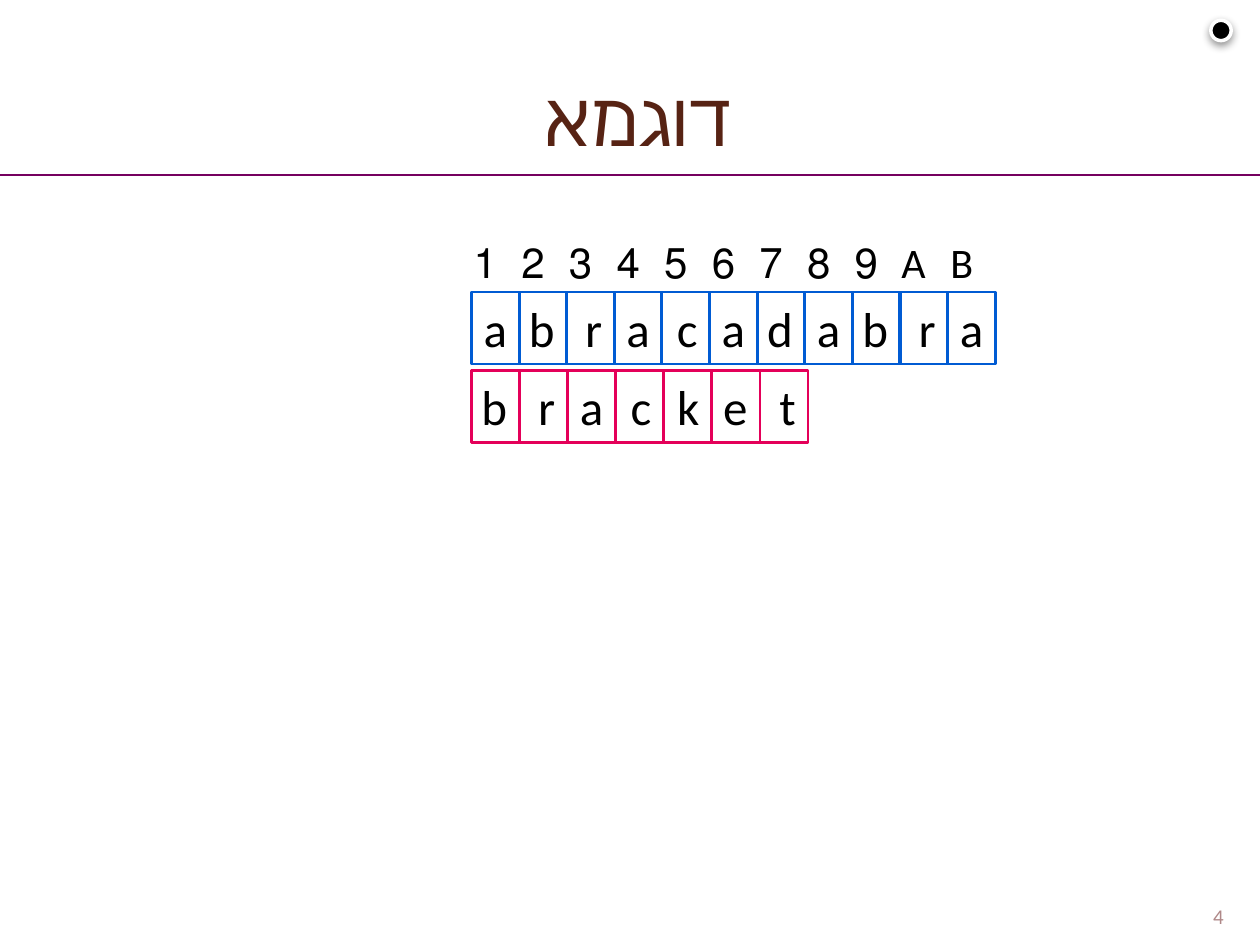
from dataclasses import dataclass

from lxml import etree
from pptx import Presentation
from pptx import util as u
from pptx.dml.color import RGBColor
from pptx.enum import shapes, text
from pptx.oxml import parse_xml
from pptx.oxml.ns import nsdecls, qn


@dataclass(frozen=True)
class Theme:
    font: str = "Calibri"
    title: str = "572314"
    rule: str = "75005F"
    number: str = "AF8888"
    ink: str = "000000"
    paper: str = "FFFFFF"
    first_word: str = "005BD3"
    second_word: str = "E40059"
    title_size: int = 43
    letter_size: int = 28
    index_size: int = 24
    number_size: int = 12


class SlideBuilder:
    """Draw the elements of one right-to-left slide in a shared style."""

    def __init__(self, theme, slide):
        self.theme = theme
        self.s = slide

    def set_text(self, sp, words, size, color, align, anchor, script_font=False):
        tf = sp.text_frame
        tf.text = words
        tf.word_wrap = True
        tf.vertical_anchor = anchor
        p = tf.paragraphs[0]
        p.alignment = align
        p._p.get_or_add_pPr().set("rtl", "1")
        r = p.runs[0]
        r.font.name = self.theme.font
        r.font.size = u.Pt(size)
        r.font.color.rgb = RGBColor.from_string(color)
        if script_font:
            cs = etree.SubElement(r._r.get_or_add_rPr(), qn("a:cs"))
            cs.set("typeface", self.theme.font)

    def place(self, sp, left, top, width, height):
        sp.left, sp.top = u.Cm(left), u.Cm(top)
        sp.width, sp.height = u.Cm(width), u.Cm(height)

    def outline(self, sp, color, width):
        sp.line.color.rgb = RGBColor.from_string(color)
        sp.line.width = u.Pt(width)

    def title(self, words):
        sp = self.s.shapes.title
        self.place(sp, 0, 0.76, 25.4, 3.18)
        self.set_text(sp, words, self.theme.title_size, self.theme.title,
                      text.PP_ALIGN.CENTER, text.MSO_ANCHOR.MIDDLE, True)

    def rule(self, top):
        sp = self.s.shapes.add_connector(
            shapes.MSO_CONNECTOR.STRAIGHT, 0, u.Cm(top), u.Cm(25.4), u.Cm(top))
        self.outline(sp, self.theme.rule, 0.75)
        etree.SubElement(sp._element.spPr, qn("a:effectLst"))

    def page_number(self, words):
        sp = self.s.shapes.add_textbox(0, 0, 0, 0)
        self.place(sp, 23.93, 17.53, 1.27, 1.32)
        self.set_text(sp, words, self.theme.number_size, self.theme.number,
                      text.PP_ALIGN.CENTER, text.MSO_ANCHOR.BOTTOM, True)

    def dot(self, left, top, size):
        sp = self.s.shapes.add_shape(
            shapes.MSO_SHAPE.OVAL, u.Cm(left), u.Cm(top), u.Cm(size), u.Cm(size))
        sp.fill.solid()
        sp.fill.fore_color.rgb = RGBColor.from_string(self.theme.ink)
        self.outline(sp, self.theme.paper, 2)
        sp._element.spPr.append(parse_xml(
            f'<a:effectLst {nsdecls("a")}><a:outerShdw blurRad="{u.Pt(5)}" '
            f'dist="{u.Pt(2)}" dir="5400000" rotWithShape="0">'
            f'<a:srgbClr val="{self.theme.ink}"><a:alpha val="43000"/>'
            '</a:srgbClr></a:outerShdw></a:effectLst>'))

    def row(self, letters, left, top, pitch, height, size, color=None):
        group = self.s.shapes.add_group_shape()
        for i, letter in enumerate(letters):
            box = (u.Cm(left + i * pitch), u.Cm(top), u.Cm(0.97), u.Cm(height))
            if color:
                sp = group.shapes.add_shape(shapes.MSO_SHAPE.RECTANGLE, *box)
                sp.shadow.inherit = False
                sp.fill.background()
                self.outline(sp, color, 1.5)
            else:
                sp = group.shapes.add_textbox(*box)
            self.set_text(sp, letter, size, self.theme.ink,
                          text.PP_ALIGN.RIGHT, text.MSO_ANCHOR.TOP)
            sp.text_frame.auto_size = text.MSO_AUTO_SIZE.SHAPE_TO_FIT_TEXT


def main():
    prs = Presentation()
    prs.slide_width, prs.slide_height = u.Cm(25.4), u.Cm(19.05)
    theme = Theme()
    b = SlideBuilder(theme, prs.slides.add_slide(prs.slide_layouts[5]))
    b.title("דוגמא ")
    b.rule(3.53)
    b.page_number("4")
    b.dot(24.41, 0.41, 0.41)
    b.row("abracadabra", 9.5, 5.89, 0.96, 1.45, theme.letter_size, theme.first_word)
    b.row("bracket", 9.5, 7.47, 0.97, 1.45, theme.letter_size, theme.second_word)
    b.row("123456789AB", 9.3, 4.65, 0.96, 1.27, theme.index_size)
    prs.save("out.pptx")


if __name__ == "__main__":
    main()
